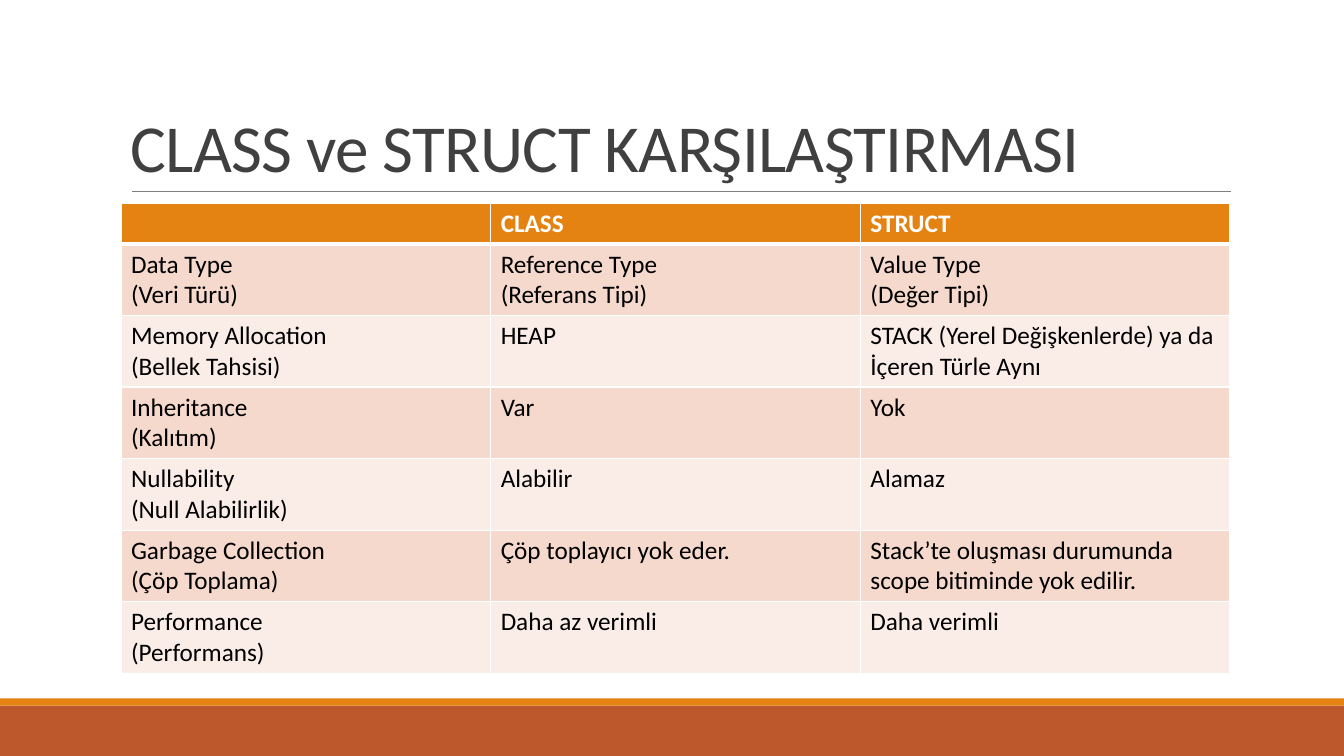
from lxml import etree
from pptx import Presentation
from pptx.dml.color import RGBColor
from pptx.enum.shapes import MSO_CONNECTOR, MSO_SHAPE
from pptx.enum.text import MSO_ANCHOR
from pptx.oxml.ns import qn
from pptx.util import Inches, Pt

RECT = MSO_SHAPE.RECTANGLE
STRAIGHT = MSO_CONNECTOR.STRAIGHT
BOTTOM = MSO_ANCHOR.BOTTOM
ORANGE, RUST, WHITE = "E48312", "BD582C", "FFFFFF"
BANDS = ["F5D9CC", "FAEDE7"]


def rgb(value):
    return RGBColor.from_string(value)


def style(font, color, **values):
    font.color.rgb = rgb(color)
    for name, value in {"name": "Calibri", **values}.items():
        setattr(font, name, value)


prs = Presentation()
prs.slide_width, prs.slide_height = Inches(13.33), Inches(7.5)
s = prs.slides.add_slide(prs.slide_layouts[6])

# Footer bands
for top, height, color in [(7, 0.5, RUST), (6.93, 0.07, ORANGE)]:
    sp = s.shapes.add_shape(RECT, 0, Inches(top), prs.slide_width, Inches(height))
    sp.shadow.inherit = False
    sp.fill.solid()
    sp.fill.fore_color.rgb = rgb(color)
    sp.line.fill.background()

# Rule under the title
rule = s.shapes.add_connector(STRAIGHT, Inches(1.31), Inches(1.9), Inches(12.21), Inches(1.9))
rule.line.color.rgb = rgb("808080")
rule.line.width = Pt(0.5)
etree.SubElement(rule._element.spPr, qn("a:effectLst"))

# Title
tf = s.shapes.add_textbox(Inches(1.2), Inches(0.31), Inches(11), Inches(1.59)).text_frame
tf.word_wrap = True
tf.vertical_anchor = BOTTOM
p = tf.paragraphs[0]
p.line_spacing = 0.85
r = p.add_run()
r.text = "CLASS ve STRUCT KARŞILAŞTIRMASI"
style(r.font, "404040", size=Pt(48))
r.font._element.set("spc", "-50")

# Comparison table: \v breaks a line, \n starts a paragraph
rows = [
    ("", "CLASS", "STRUCT"),
    ("Data Type \v(Veri Türü)", "Reference Type \v(Referans Tipi)", "Value Type \v(Değer Tipi)"),
    ("Memory Allocation \v(Bellek Tahsisi)", "HEAP",
     "STACK (Yerel Değişkenlerde) ya da İçeren Türle Aynı"),
    ("Inheritance\n(Kalıtım)", "Var", "Yok"),
    ("Nullability\n(Null Alabilirlik)", "Alabilir", "Alamaz"),
    ("Garbage Collection\n(Çöp Toplama)", "Çöp toplayıcı yok eder.",
     "Stack’te oluşması durumunda scope bitiminde yok edilir."),
    ("Performance\n(Performans)", "Daha az verimli", "Daha verimli"),
]
table = s.shapes.add_table(len(rows), 3, Inches(1.2), Inches(2.02), Inches(11), Inches(4.66)).table
for i, texts in enumerate(rows):
    header = i == 0
    table.rows[i].height = Inches(0.4 if header else 0.71)
    for j, text in enumerate(texts):
        cell = table.cell(i, j)
        cell.text = text
        cell.fill.solid()
        cell.fill.fore_color.rgb = rgb(ORANGE if header else BANDS[(i - 1) % 2])
        for p in cell.text_frame.paragraphs:
            for r in p.runs:
                style(r.font, WHITE if header else "000000", size=Pt(18), bold=header)
        # White borders, thicker below the header
        widths = {"L": 1, "R": 1, "T": 3 if i == 1 else 1, "B": 3 if header else 1}
        tcPr = cell._tc.get_or_add_tcPr()
        for k, (side, width) in enumerate(widths.items()):
            ln = etree.Element(qn("a:ln" + side), w=str(Pt(width)))
            fill = etree.SubElement(ln, qn("a:solidFill"))
            etree.SubElement(fill, qn("a:srgbClr"), val=WHITE)
            tcPr.insert(k, ln)

prs.save("out.pptx")
